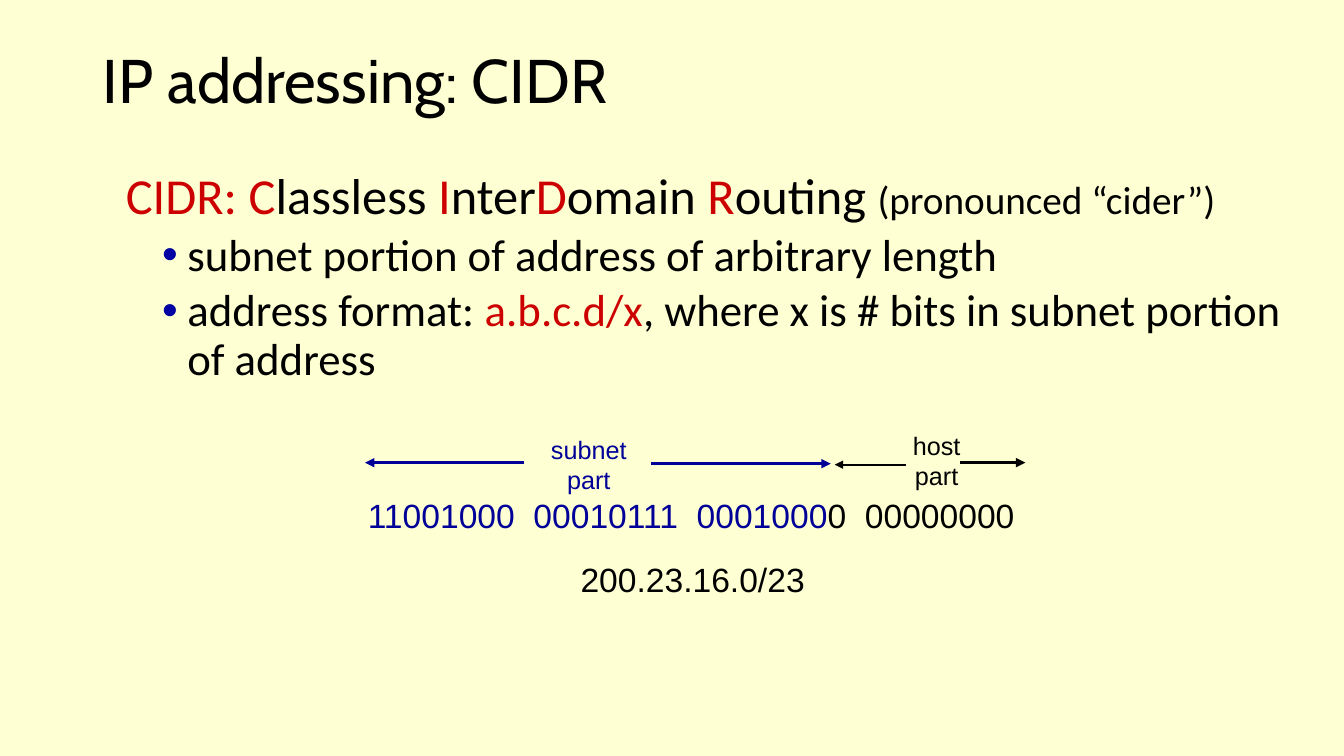
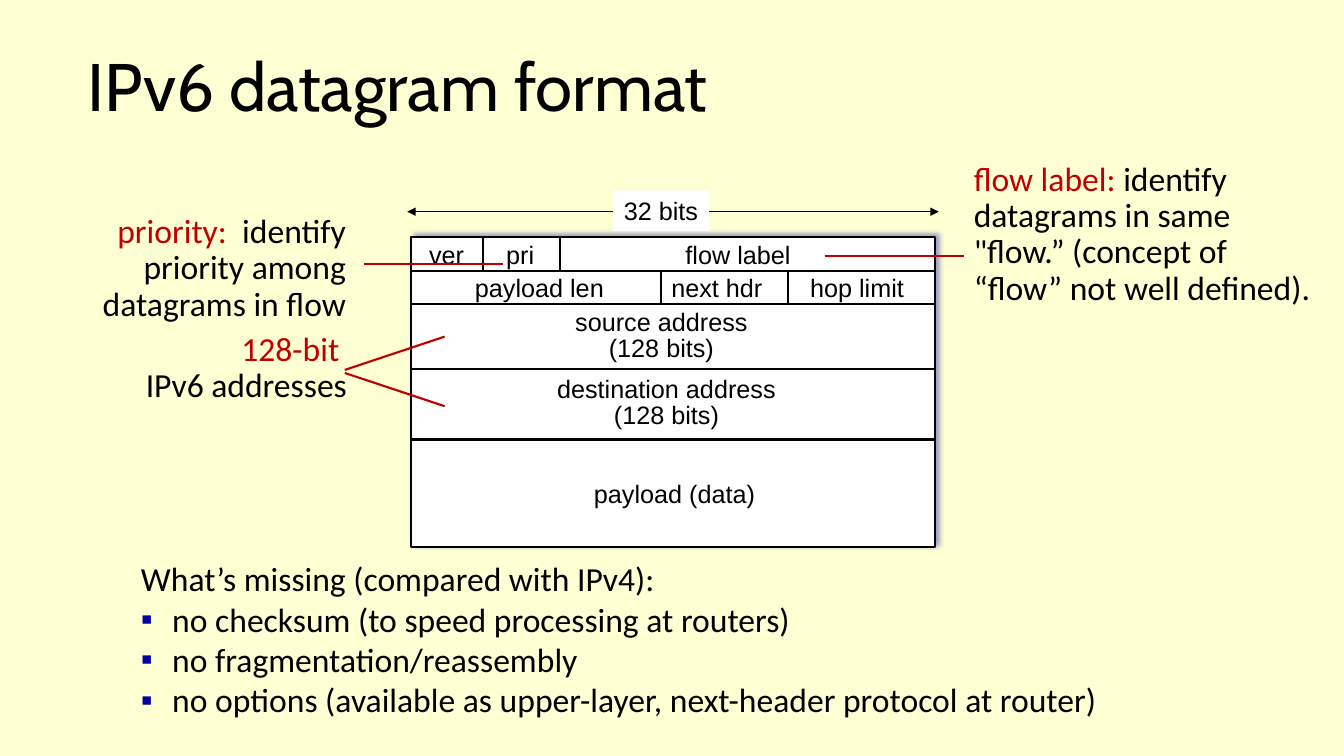
import lxml.etree
import pptx
import pptx.dml.color
import pptx.enum.shapes
import pptx.enum.text
import pptx.oxml.ns
import pptx.util

Inches = pptx.util.Inches
Pt = pptx.util.Pt
ALIGN = pptx.enum.text.PP_ALIGN
ANCHOR = pptx.enum.text.MSO_ANCHOR

COLORS = {
    "background": "FFFFD4",
    "black": "000000",
    "white": "FFFFFF",
    "bullet": "0000A3",
    "subnet": "000099",
    "accent": "CC0000",
    "callout": "C00000",
}
TITLE_FONT, BODY_FONT, FIGURE_FONT = "Cabin", "Calibri", "Arial"


def rgb(name):
    return pptx.dml.color.RGBColor.from_string(COLORS[name])


def add_element(parent, tag, **attributes):
    return lxml.etree.SubElement(parent, pptx.oxml.ns.qn(tag), attributes)


def write_paragraph(paragraph, runs, font, size, color="black", align=ALIGN.LEFT,
                    spacing=1.0, before=0, bullet=None, margin=0, indent=0):
    """Runs are strings, or (text, color[, size]) where they differ."""
    paragraph.alignment = align
    paragraph.line_spacing = spacing
    paragraph.space_before = Pt(before)
    properties = paragraph._p.get_or_add_pPr()
    properties.set("marL", str(Inches(margin)))
    properties.set("indent", str(Inches(indent)))
    if bullet:
        bullet_color = add_element(properties, "a:buClr")
        add_element(bullet_color, "a:srgbClr", val=COLORS["bullet"])
        add_element(properties, "a:buFont", typeface="Arial")
        add_element(properties, "a:buChar", char=bullet)
    paragraph.font.name = font
    paragraph.font.size = Pt(size)
    paragraph.font.color.rgb = rgb(color)
    for item in runs:
        text, *style = (item,) if isinstance(item, str) else item
        run = paragraph.add_run()
        run.text = text
        if style:
            run.font.color.rgb = rgb(style[0])
        if len(style) > 1:
            run.font.size = Pt(style[1])


def add_text(slide, left, top, width, height, paragraphs, anchor=ANCHOR.TOP, **style):
    """Each paragraph is a list of runs, or a (runs, own style) pair."""
    box = slide.shapes.add_textbox(Inches(left), Inches(top), Inches(width), Inches(height))
    frame = box.text_frame
    frame.word_wrap = True
    frame.vertical_anchor = anchor
    for index, item in enumerate(paragraphs):
        runs, own_style = item if isinstance(item, tuple) else (item, {})
        paragraph = frame.add_paragraph() if index else frame.paragraphs[0]
        write_paragraph(paragraph, runs, **{**style, **own_style})


def add_label(slide, center_x, center_y, lines, color="black", spacing=1.0):
    width, height = 2.6, 0.8
    add_text(slide, center_x - width / 2, center_y - height / 2, width, height,
             [[line] for line in lines], ANCHOR.MIDDLE, font=FIGURE_FONT, size=18,
             color=color, align=ALIGN.CENTER, spacing=spacing)


def add_line(slide, start, end, color="black", width=1.5, head=False, tail=False):
    connector = slide.shapes.add_connector(
        pptx.enum.shapes.MSO_CONNECTOR.STRAIGHT, *map(Inches, start + end))
    connector.line.color.rgb = rgb(color)
    connector.line.width = Pt(width)
    line = connector.line._get_or_add_ln()
    for tag, wanted in (("a:headEnd", head), ("a:tailEnd", tail)):
        if wanted:
            add_element(line, tag, type="triangle")
    add_element(connector._element.spPr, "a:effectLst")


def add_white_box(slide, left, top, width, height):
    shape = slide.shapes.add_shape(
        pptx.enum.shapes.MSO_SHAPE.RECTANGLE,
        Inches(left), Inches(top), Inches(width), Inches(height))
    shape.shadow.inherit = False
    shape.fill.solid()
    shape.fill.fore_color.rgb = rgb("white")
    shape.line.fill.background()
    return shape


def add_slide(presentation, title, left, top, height, size):
    slide = presentation.slides.add_slide(presentation.slide_layouts[6])
    slide.background.fill.solid()
    slide.background.fill.fore_color.rgb = rgb("background")
    add_text(slide, left, top, 11.5, height, [[title]], ANCHOR.MIDDLE,
             font=TITLE_FONT, size=size, spacing=0.9)
    return slide


def add_address_figure(slide, left, top):
    # Spans of the subnet and host parts
    for start, end, y, color, width in (
            (1.65, 0.07, 0.37, "subnet", 2.25), (2.91, 4.69, 0.38, "subnet", 2.25),
            (5.44, 4.73, 0.39, "black", 1.5), (5.97, 6.62, 0.37, "black", 2.25)):
        add_line(slide, (left + start, top + y), (left + end, top + y),
                 color, width, tail=True)
    add_label(slide, left + 2.29, top + 0.39, ["subnet", "part"], "subnet")
    add_label(slide, left + 5.74, top + 0.35, ["host", "part"])
    # Address in binary and in CIDR notation
    for x, y, width, runs in (
            (0, 0.64, 6.9, [("11001000  00010111  0001000", "subnet"), "0  00000000"]),
            (2.11, 1.28, 2.7, ["200.23.16.0/23"])):
        add_text(slide, left + x, top + y, width, 0.5, [runs], font=FIGURE_FONT, size=24)


def add_datagram(slide, left, top, width):
    # Rows: height, then fields as left edge, label centre and label lines
    rows = (
        (0.34, ((0, 0.35, ["ver"]), (0.71, 1.08, ["pri"]), (1.47, 3.24, ["flow label"]))),
        (0.33, ((0, 1.27, ["payload len"]), (2.48, 3.03, ["next hdr"]),
                (3.74, 4.42, ["hop limit"]))),
        (0.64, ((0, 2.48, ["source address", "(128 bits)"]),)),
        (0.7, ((0, 2.53, ["destination address", "(128 bits)"]),)),
        (1.07, ((0, 2.61, ["payload (data)"]),)),
    )
    frame = add_white_box(slide, left, top, width, sum(height for height, _ in rows))
    frame.line.color.rgb = rgb("black")
    frame.line.width = Pt(1.5)
    effects = frame._element.spPr.find(pptx.oxml.ns.qn("a:effectLst"))
    shadow = add_element(effects, "a:outerShdw", blurRad=str(Pt(4)), dist=str(Pt(3)),
                         dir="18900000", algn="bl", rotWithShape="0")
    shadow_color = add_element(shadow, "a:srgbClr", val=COLORS["bullet"])
    add_element(shadow_color, "a:alpha", val="40000")

    row_top = top
    for height, fields in rows:
        if row_top > top:
            add_line(slide, (left, row_top), (left + width, row_top))
        for edge, center, lines in fields:
            if edge:
                add_line(slide, (left + edge, row_top), (left + edge, row_top + height))
            add_label(slide, left + center, row_top + height / 2, lines,
                      spacing=0.85 if len(lines) > 1 else 1.0)
        row_top += height

    # Width marker
    marker_y = top - 0.25
    add_line(slide, (left - 0.04, marker_y), (left + width + 0.04, marker_y),
             width=0.75, head=True, tail=True)
    marker = add_white_box(slide, left + 2, marker_y - 0.21, 0.95, 0.4)
    marker.text_frame.word_wrap = False
    write_paragraph(marker.text_frame.paragraphs[0], ["32 bits"], FIGURE_FONT, 18,
                    align=ALIGN.CENTER)


def add_callout(slide, left, top, width, height, paragraphs, lines, align=ALIGN.LEFT):
    add_text(slide, left, top, width, height, paragraphs, font=BODY_FONT, size=24,
             align=align, spacing=0.9)
    for start, end in lines:
        add_line(slide, start, end, "callout")


def build_cidr_slide(presentation):
    slide = add_slide(presentation, "IP addressing: CIDR", 0.92, 0.34, 0.98, 44)
    point = {"size": 32, "before": 5, "bullet": "•", "margin": 0.76, "indent": -0.25}
    add_text(slide, 1, 1.65, 12.13, 2.27, [
        ([("CIDR: C", "accent"), "lassless ", ("I", "accent"), "nter", ("D", "accent"),
          "omain ", ("R", "accent"), "outing ", ("(pronounced “cider”)", "black", 28)],
         {"margin": 0.39, "indent": -0.24}),
        (["subnet portion of address of arbitrary length"], point),
        (["address format: ", ("a.b.c.d/x", "accent"),
          ", where x is # bits in subnet portion of address"], point),
    ], font=BODY_FONT, size=36, spacing=0.9)
    add_address_figure(slide, 3.55, 4.22)


def build_datagram_slide(presentation):
    slide = add_slide(presentation, "IPv6 datagram format", 0.77, 0.31, 1.17, 48)
    add_datagram(slide, 4.08, 2.35, 5.19)

    # Callouts
    add_callout(slide, 0.17, 2.08, 3.36, 1.19,
                [[("priority:  ", "callout"), "identify priority among datagrams in flow"]],
                [((3.61, 2.62), (4.99, 2.62))], ALIGN.RIGHT)
    add_callout(slide, 9.56, 1.56, 3.54, 1.56,
                [[("flow label: ", "callout"), "identify datagrams in same \"flow.” "
                  "(concept of “flow” not well defined)."]],
                [((8.18, 2.54), (9.56, 2.54))])
    add_callout(slide, 0, 3.25, 3.54, 0.83,
                [[("128-bit ", "callout")], ["IPv6 addresses"]],
                [((3.42, 3.7), (4.41, 4.03)), ((3.42, 3.67), (4.41, 3.34))], ALIGN.RIGHT)

    # Differences from IPv4
    point = {"bullet": "▪", "margin": 0.31, "indent": -0.31}
    missing = ("no checksum (to speed processing at routers)",
               "no fragmentation/reassembly",
               "no options (available as upper-layer, next-header protocol at router)")
    add_text(slide, 1.3, 5.49, 9.81, 1.72,
             [["What’s missing (compared with IPv4):"]]
             + [([text], point) for text in missing], font=BODY_FONT, size=24)


def main():
    presentation = pptx.Presentation()
    presentation.slide_width = Inches(13.33)
    presentation.slide_height = Inches(7.5)
    build_cidr_slide(presentation)
    build_datagram_slide(presentation)
    presentation.save("out.pptx")


if __name__ == "__main__":
    main()
